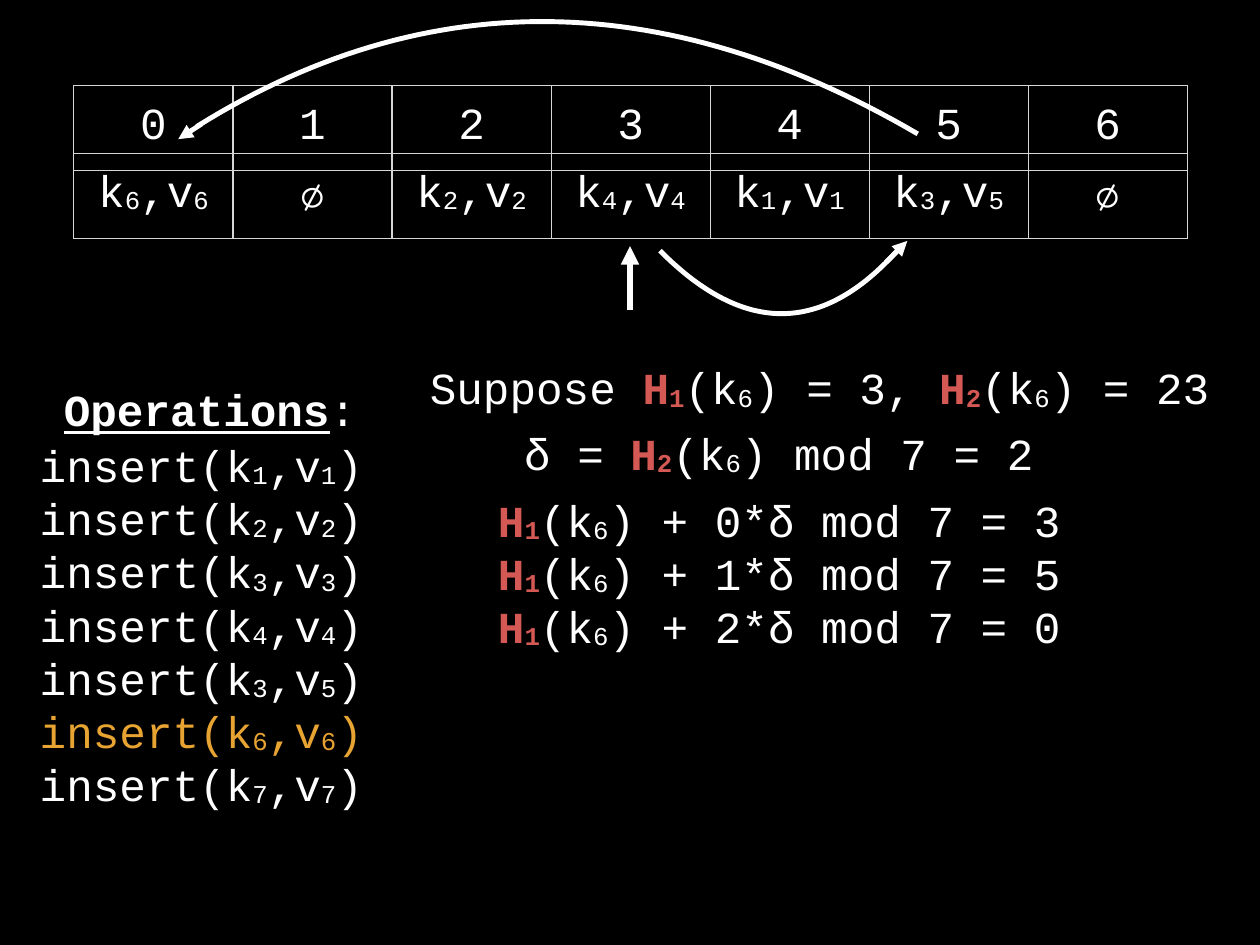
import pptx
import pptx.dml.color
import pptx.enum.shapes
import pptx.enum.text
import pptx.oxml
import pptx.oxml.ns
import pptx.util

Cm, Pt = pptx.util.Cm, pptx.util.Pt
RGB = pptx.dml.color.RGBColor.from_string
ALIGN = pptx.enum.text.PP_ALIGN
MIDDLE = pptx.enum.text.MSO_ANCHOR.MIDDLE
TOP = pptx.enum.text.MSO_ANCHOR.TOP
MARGINS = ("margin_left", "margin_right", "margin_top", "margin_bottom")
COLOURS = {"back": "000000", "text": "FFFFFF", "hash": "D45854",
           "current": "E8A432", "grid": "D6D6D6"}


def write_line(para, line, colour="text", align=ALIGN.CENTER):
    """Split a line at each bar; digits after an underscore are subscripts."""
    para.alignment = align
    for piece in line.split("|"):
        base, _, subscript = piece.partition("_")
        is_hash = base == "H"
        for part, offset in ((base, None), (subscript, "-5999")):
            if not part:
                continue
            span = para.add_run()
            span.text = part
            look = {"name": "Courier New", "size": Pt(36), "bold": is_hash}
            for key, value in look.items():
                setattr(span.font, key, value)
            span.font.color.rgb = RGB(COLOURS["hash" if is_hash else colour])
            if offset:
                span.font._element.set("baseline", offset)


def add_text(left, top, width, height, anchor=MIDDLE):
    box = page.shapes.add_textbox(Cm(left), Cm(top), Cm(width), Cm(height))
    frame = box.text_frame
    layout = {"word_wrap": False, "vertical_anchor": anchor,
              "auto_size": pptx.enum.text.MSO_AUTO_SIZE.SHAPE_TO_FIT_TEXT}
    layout.update(dict.fromkeys(MARGINS, Cm(0.15)))
    for key, value in layout.items():
        setattr(frame, key, value)
    return frame


# Black page
deck = pptx.Presentation()
deck.slide_width, deck.slide_height = Cm(36.12), Cm(27.1)
page = deck.slides.add_slide(deck.slide_layouts[6])
page.background.fill.solid()
page.background.fill.fore_color.rgb = RGB(COLOURS["back"])

# Hash table: entries below, slot numbers above
entries = ["k_6|,v_6", "∅", "k_2|,v_2", "k_4|,v_4", "k_1|,v_1", "k_3|,v_5", "∅"]
slots = [str(slot) for slot in range(len(entries))]
for top, labels in ((4.4, entries), (2.45, slots)):
    grid = page.shapes.add_table(1, len(labels), Cm(2.12), Cm(top),
                                 Cm(4.56 * len(labels)), Cm(2.43)).table
    grid.first_row = grid.horz_banding = False
    for column, label in enumerate(labels):
        grid.columns[column].width = Cm(4.56)
        cell = grid.cell(0, column)
        cell.vertical_anchor = MIDDLE
        for margin in MARGINS:
            setattr(cell, margin, Cm(0.15))
        cell.fill.background()
        for place, side in enumerate("LRTB"):
            border = pptx.oxml.parse_xml(
                f'<a:ln{side} {pptx.oxml.ns.nsdecls("a")} w="12700"><a:solidFill>'
                f'<a:srgbClr val="{COLOURS["grid"]}"/></a:solidFill></a:ln{side}>')
            cell._tc.get_or_add_tcPr().insert(place, border)
        write_line(cell.text_frame.paragraphs[0], label)

# Operations heading
heading = add_text(1.65, 10.85, 8.74, 1.73).paragraphs[0]
write_line(heading, "Operations|:")
heading.runs[0].font.bold = heading.runs[0].font.underline = True

# Operations list, with the current insert highlighted
operations = add_text(0.99, 12.42, 10.52, 10.41, TOP)
for index, (key, value) in enumerate(zip("1234367", "1234567")):
    para = operations.add_paragraph() if index else operations.paragraphs[0]
    write_line(para, f"insert(k_{key}|,v_{value}|)",
               "current" if key == "6" else "text", ALIGN.LEFT)

# Hash values and probe sequence
formulas = [
    (11.99, 10.24, 23.01, "Suppose |H_1|(k_6|) = 3, |H_2|(k_6|) = 23"),
    (14.78, 12.12, 15.09, "δ = |H_2|(k_6|) mod 7 = 2"),
]
for step, slot in enumerate((3, 5, 0)):
    formulas.append((14.02, 14.03 + 1.52 * step, 16.64,
                     f"H_1|(k_6|) + {step}*δ mod 7 = {slot}"))
for left, top, width, line in formulas:
    write_line(add_text(left, top, width, 1.73).paragraphs[0], line)

# Probe curves, each sampled from four Bezier control points
probes = [
    ((25.81, 7.09), (23.62, 9.6), (21.34, 9.63), (18.92, 7.19)),
    ((5.64, 3.63), (12.19, -0.46), (19.1, -0.38), (26.31, 3.84)),
]
for controls in probes:
    points = []
    for step in range(61):
        t = step / 60
        weights = ((1 - t) ** 3, 3 * t * (1 - t) ** 2, 3 * t ** 2 * (1 - t), t ** 3)
        points.append(tuple(
            Cm(sum(weight * control[axis] for weight, control in zip(weights, controls)))
            for axis in (0, 1)))
    outline = page.shapes.build_freeform(*points[0])
    outline.add_line_segments(points[1:], close=False)
    curve = outline.convert_to_shape()
    curve.shadow.inherit = False
    curve.fill.background()
    curve.line.color.rgb = RGB(COLOURS["text"])
    curve.line.width = Pt(4)

# Arrows: first probe, then the tips of the curves
arrows = [
    (18.06, 8.89, 18.06, 7.06, 5),
    (25.4, 7.52, 26.01, 6.91, 4),
    (5.77, 3.56, 5.11, 3.99, 4),
]
for *ends, weight in arrows:
    arrow = page.shapes.add_connector(
        pptx.enum.shapes.MSO_CONNECTOR.STRAIGHT, *map(Cm, ends))
    arrow.line.color.rgb = RGB(COLOURS["text"])
    arrow.line.width = Pt(weight)
    arrow.line._get_or_add_ln().append(pptx.oxml.parse_xml(
        f'<a:tailEnd {pptx.oxml.ns.nsdecls("a")} type="triangle"/>'))
    arrow._element.spPr.append(pptx.oxml.parse_xml(
        f'<a:effectLst {pptx.oxml.ns.nsdecls("a")}/>'))

deck.save("out.pptx")
